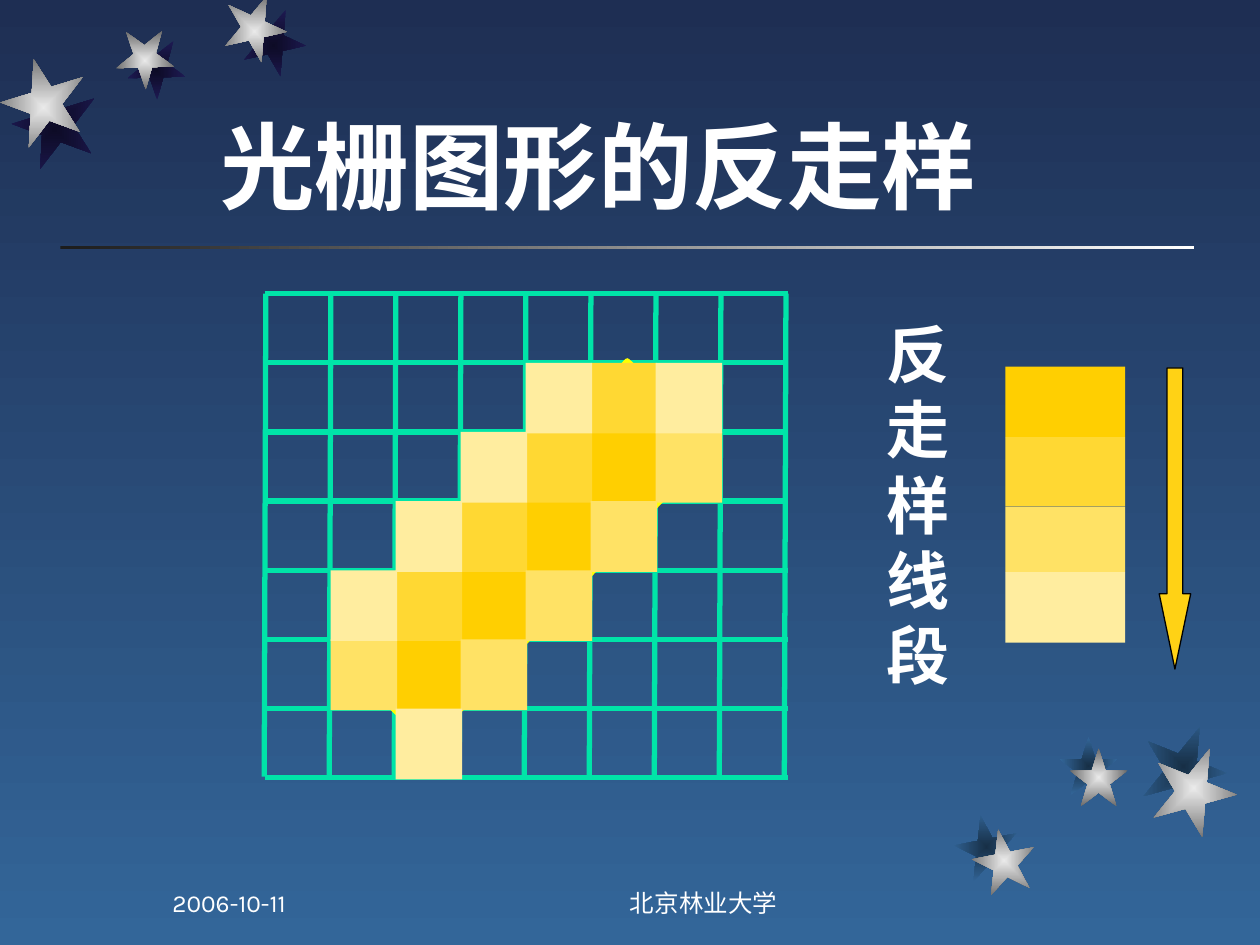
from lxml import etree
from pptx import Presentation
from pptx.dml.color import RGBColor
from pptx.enum.shapes import MSO_CONNECTOR, MSO_SHAPE
from pptx.enum.text import MSO_ANCHOR, PP_ALIGN
from pptx.oxml.ns import qn
from pptx.util import Inches, Pt

RECTANGLE, STAR = MSO_SHAPE.RECTANGLE, MSO_SHAPE.STAR_5_POINT
DOWN_ARROW = MSO_SHAPE.DOWN_ARROW
STRAIGHT = MSO_CONNECTOR.STRAIGHT
TOP, BOTTOM = MSO_ANCHOR.TOP, MSO_ANCHOR.BOTTOM
LEFT, CENTER = PP_ALIGN.LEFT, PP_ALIGN.CENTER

WHITE = RGBColor(0xFF, 0xFF, 0xFF)
BLACK = RGBColor(0x00, 0x00, 0x00)
CHARCOAL = RGBColor(0x1C, 0x1C, 0x1C)
SKY = RGBColor(0x1E, 0x2E, 0x53), RGBColor(0x33, 0x66, 0x99)
SILVER = RGBColor(0xEA, 0xEA, 0xEA), RGBColor(0x6B, 0x6B, 0x6B)
NIGHT = RGBColor(0x0D, 0x0B, 0x26), RGBColor(0x1E, 0x1A, 0x53)
DUSK = RGBColor(0x17, 0x2F, 0x46), RGBColor(0x33, 0x66, 0x99)
GREEN = RGBColor(0x00, 0xE4, 0xA8)
YELLOW = RGBColor(0xFF, 0xFF, 0x00)
ARROW_YELLOW = RGBColor(0xFF, 0xD2, 0x15)
SHADES = (RGBColor(0xFF, 0xCF, 0x01), RGBColor(0xFF, 0xD8, 0x33),
          RGBColor(0xFF, 0xE2, 0x65), RGBColor(0xFF, 0xED, 0x9F))

# The page is a grid of 100 columns by 75 rows.
PAGE_COLUMNS, PAGE_ROWS = 100, 75
UNIT = Inches(0.1)

# The raster, in page units; digits index the shades from 1 (darkest).
RASTER_LEFT, RASTER_TOP = 21.1, 23.3
PIXEL_WIDTH, PIXEL_HEIGHT = 5.16, 5.49
PIXEL_OVERLAP = 0.12
PIXELS = ("........",
          "....424.",
          "...4213.",
          "..4213..",
          ".4213...",
          ".313....",
          "..4.....")

# Each star: left, top, shadow left, shadow top, size, rotation.
TOP_STARS = ((17.7, 0, 19.2, 1.1, 5, 167.3),
             (9.2, 2.5, 10.1, 3.3, 4.6, 178.3),
             (0.1, 5.2, 1, 6.9, 6.7, 200.3))
BOTTOM_STARS = ((77.2, 65.8, 75.8, 64.7, 5, 349),
                (84.9, 59.4, 84.1, 58.5, 4.6, 0),
                (91.4, 59.2, 90.6, 57.5, 6.7, 22))


def units(*values):
    return [round(value * UNIT) for value in values]


def add_gradient(fill, colors, angle=0):
    fill.gradient()
    fill.gradient_angle = angle
    for stop, color in zip(fill.gradient_stops, colors):
        stop.color.rgb = color


def center_gradient(shape):
    """Turn a linear gradient into one that spreads from the middle."""
    gradient = shape.element.spPr.find(qn("a:gradFill"))
    gradient.remove(gradient.find(qn("a:lin")))
    spread = etree.SubElement(gradient, qn("a:path"), {"path": "rect"})
    etree.SubElement(spread, qn("a:fillToRect"),
                     {side: "50000" for side in "ltrb"})


def add_block(page, kind, place, color=None, line=None, width=1, rotation=0):
    shape = page.shapes.add_shape(kind, *units(*place))
    shape.shadow.inherit = False
    shape.rotation = rotation
    if color is not None:
        shape.fill.solid()
        shape.fill.fore_color.rgb = color
    if line is None:
        shape.line.fill.background()
    else:
        shape.line.color.rgb = line
        shape.line.width = Pt(width)
    return shape


def add_star(page, left, top, size, rotation, colors):
    star = add_block(page, STAR, (left, top, size, size), rotation=rotation)
    add_gradient(star.fill, colors)
    center_gradient(star)


def add_stars(page, stars, shadow_colors):
    for _, _, left, top, size, rotation in stars:
        add_star(page, left, top, size, rotation, shadow_colors)
    for left, top, _, _, size, rotation in stars:
        add_star(page, left, top, size, rotation, SILVER)


def add_text(page, place, text, size=14, font="Karla", bold=False,
             align=LEFT, anchor=BOTTOM, spacing=None):
    frame = page.shapes.add_textbox(*units(*place)).text_frame
    frame.word_wrap = True
    frame.vertical_anchor = anchor
    para = frame.paragraphs[0]
    para.alignment = align
    if spacing:
        para.line_spacing = Pt(spacing)
    span = para.add_run()
    span.text = text
    span.font.name = font
    span.font.size = Pt(size)
    span.font.bold = bold
    span.font.color.rgb = WHITE


def add_line(group, *ends):
    line = group.shapes.add_connector(STRAIGHT, *units(*ends))
    line.line.color.rgb = GREEN
    line.line.width = Pt(3)
    etree.SubElement(line.element.spPr, qn("a:effectLst"))


def add_raster(page):
    group = page.shapes.add_group_shape()
    rows, columns = len(PIXELS), len(PIXELS[0])
    bottom = RASTER_TOP + rows * PIXEL_HEIGHT
    right = RASTER_LEFT + columns * PIXEL_WIDTH
    for column in range(columns + 1):
        x = RASTER_LEFT + column * PIXEL_WIDTH
        add_line(group, x, RASTER_TOP, x - 0.13, bottom - 0.1)
    for row in range(rows + 1):
        y = RASTER_TOP + row * PIXEL_HEIGHT
        add_line(group, RASTER_LEFT - 0.1, y, right + 0.2, y)


def add_ideal_segment(page):
    """Add the translucent slanted band that the pixels approximate."""
    band = add_block(page, RECTANGLE, (37.1, 27.4, 9.6, 32.8), GREEN,
                     line=YELLOW, width=3, rotation=43.8)
    color = band.element.spPr.find(qn("a:solidFill"))[0]
    etree.SubElement(color, qn("a:alpha"), {"val": "70000"})


def add_pixels(page):
    for level, shade in enumerate(SHADES, start=1):
        for row, codes in enumerate(PIXELS):
            for column, code in enumerate(codes):
                if code == str(level):
                    add_block(page, RECTANGLE,
                              (RASTER_LEFT + column * PIXEL_WIDTH - 0.02,
                               RASTER_TOP + row * PIXEL_HEIGHT,
                               PIXEL_WIDTH + PIXEL_OVERLAP,
                               PIXEL_HEIGHT + PIXEL_OVERLAP), shade)


def add_legend(page):
    tops = (29.1, 34.7, 40.2, 45.4, 51)
    for top, bottom, shade in zip(tops, tops[1:], SHADES):
        add_block(page, RECTANGLE, (79.8, top, 9.5, bottom - top), shade)
    arrow = add_block(page, DOWN_ARROW, (92, 29.2, 2.5, 23.9), ARROW_YELLOW,
                      line=BLACK, width=0.75)
    arrow.adjustments[0] = 0.5
    arrow.adjustments[1] = 2.39


def main():
    deck = Presentation()
    deck.slide_width, deck.slide_height = units(PAGE_COLUMNS, PAGE_ROWS)
    page = deck.slides.add_slide(deck.slide_layouts[6])
    add_gradient(page.background.fill, SKY, angle=270)

    rule = add_block(page, RECTANGLE, (4.8, 19.5, 90, 0.3))
    add_gradient(rule.fill, (CHARCOAL, WHITE))
    add_stars(page, TOP_STARS, NIGHT)
    add_stars(page, BOTTOM_STARS, DUSK)

    add_text(page, (16.5, 6.3, 66.8, 11.8), "光栅图形的反走样",
             size=54, bold=True)
    add_text(page, (69.4, 24.6, 7.8, 37.7), "反走样线段", size=36,
             font="Times New Roman", bold=True, anchor=TOP, spacing=43)
    add_raster(page)
    add_ideal_segment(page)
    add_pixels(page)
    add_legend(page)
    add_text(page, (40, 68.3, 31.7, 5), "北京林业大学", align=CENTER)
    add_text(page, (12.7, 68.3, 20.8, 5), "2006-10-11")
    deck.save("out.pptx")


if __name__ == "__main__":
    main()
